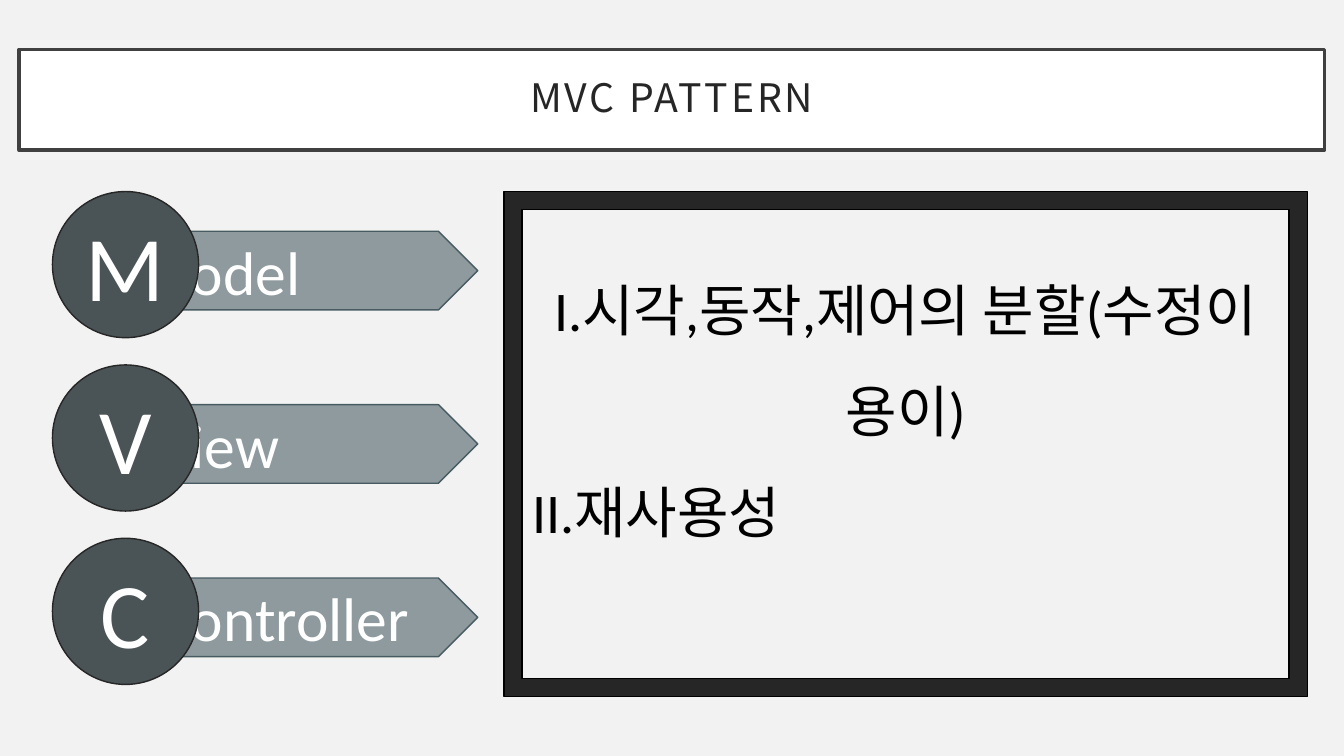
from pptx import Presentation
from pptx.dml.color import RGBColor
from pptx.enum.shapes import MSO_SHAPE
from pptx.enum.text import MSO_ANCHOR, PP_ALIGN
from pptx.util import Pt

TITLE = "MVC PATTERN"
PARTS = [("M", "odel"), ("V", "iew"), ("C", "ontroller")]
POINTS = [
    ("I.시각,동작,제어의 분할(수정이 용이)", PP_ALIGN.CENTER),
    ("II.재사용성", PP_ALIGN.LEFT),
]
COLORS = {
    "back": "F2F2F2", "white": "FFFFFF", "edge": "404040", "dark": "262626",
    "arrow": "8E9A9E", "rim": "475B61", "disc": "4A5356", "black": "000000",
}
TOP, STEP, DISC = 136.8, 123.84, 104.4
BAR = 56.16


def tint(name):
    return RGBColor.from_string(COLORS[name])


def draw(home, kind, box, fill, line, width=1):
    shape = home.add_shape(kind, *[Pt(n) for n in box])
    shape.shadow.inherit = False
    shape.fill.solid()
    shape.fill.fore_color.rgb = tint(fill)
    shape.line.color.rgb = tint(line)
    shape.line.width = Pt(width)
    shape.text_frame.word_wrap = True
    shape.text_frame.vertical_anchor = MSO_ANCHOR.MIDDLE
    return shape


def write(shape, lines, size, color, face="Calibri", space=1.0):
    frame = shape.text_frame
    for i, (text, align) in enumerate(lines):
        para = frame.add_paragraph() if i else frame.paragraphs[0]
        para.text = text
        para.alignment = align
        para.line_spacing = space
        para.font.size = Pt(size)
        para.font.name = face
        para.font.color.rgb = tint(color)


deck = Presentation()
deck.slide_width, deck.slide_height = Pt(960), Pt(540)
slide = deck.slides.add_slide(deck.slide_layouts[6])
slide.background.fill.solid()
slide.background.fill.fore_color.rgb = tint("back")

title = draw(slide.shapes, MSO_SHAPE.RECTANGLE, (13.68, 35.28, 932.4, 72),
             "white", "edge", 2.5)
write(title, [(TITLE, PP_ALIGN.CENTER)], 28, "dark", "Noto Sans CJK KR", 0.9)
title.text_frame.paragraphs[0].runs[0]._r.get_or_add_rPr().set("spc", "200")

for i, (head, tail) in enumerate(PARTS):
    top = TOP + i * STEP
    group = slide.shapes.add_group_shape().shapes
    arrow = draw(group, MSO_SHAPE.PENTAGON, (89.28, top + 28.4, 252, BAR),
                 "arrow", "rim")
    arrow.text_frame.margin_left = Pt(47)
    write(arrow, [(tail, PP_ALIGN.LEFT)], 44, "white")
    disc = draw(group, MSO_SHAPE.OVAL, (37.44, top, DISC, DISC), "disc", "dark")
    write(disc, [(head, PP_ALIGN.CENTER)], 66, "white")

panel = draw(slide.shapes, MSO_SHAPE.FRAME, (360, TOP, 573.84, 360.72),
             "dark", "black")
panel.adjustments[0] = 0.036
panel.text_frame.margin_bottom = Pt(76)
write(panel, POINTS, 40, "black", space=1.5)

deck.save("out.pptx")
